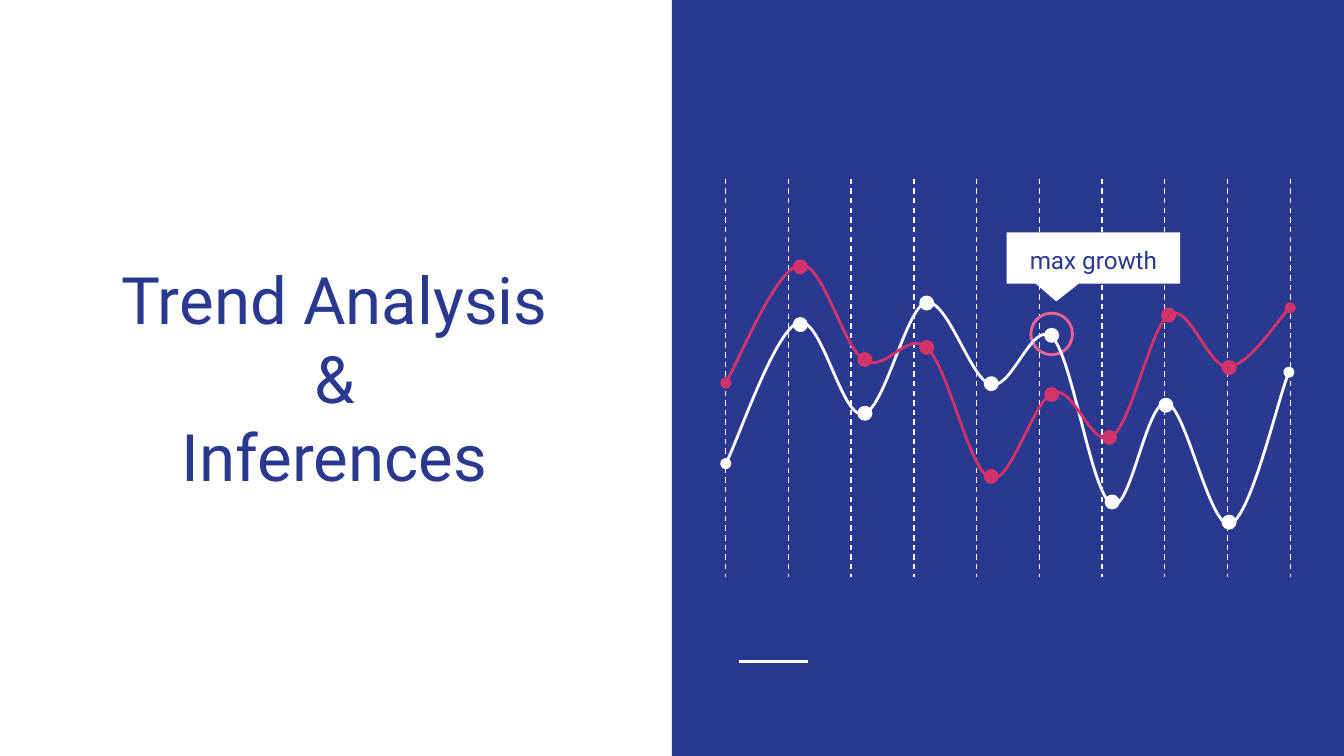
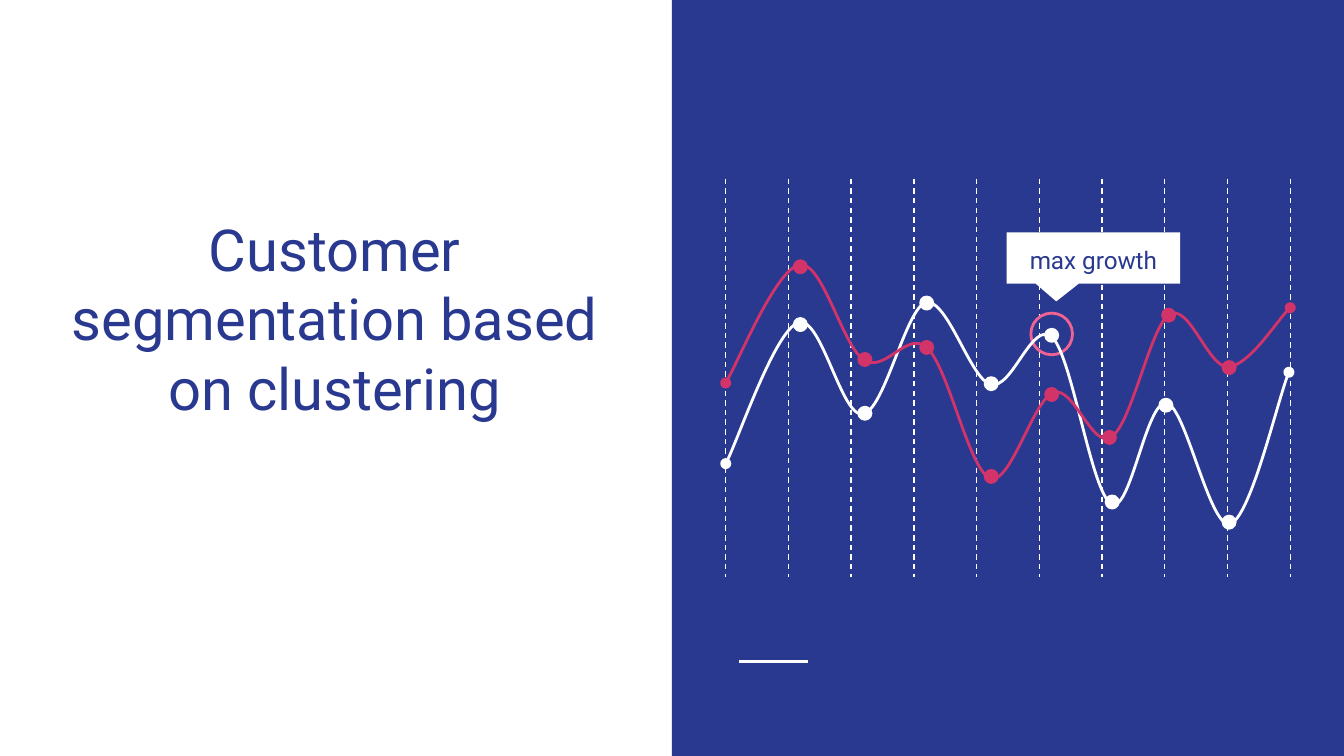
from lxml import etree
from pptx import Presentation
from pptx.dml.color import RGBColor
from pptx.enum.dml import MSO_LINE
from pptx.enum.shapes import MSO_CONNECTOR, MSO_SHAPE
from pptx.enum.text import MSO_ANCHOR, MSO_AUTO_SIZE, PP_ALIGN
from pptx.oxml.ns import qn
from pptx.util import Inches, Pt

WHITE = RGBColor(0xFF, 0xFF, 0xFF)
NAVY = RGBColor(0x2A, 0x39, 0x90)
CRIMSON = RGBColor(0xD2, 0x33, 0x69)
PINK = RGBColor(0xF0, 0x62, 0x92)
FONT = "Roboto"

RECT, OVAL = MSO_SHAPE.RECTANGLE, MSO_SHAPE.OVAL
CALLOUT = MSO_SHAPE.ROUNDED_RECTANGULAR_CALLOUT
STRAIGHT = MSO_CONNECTOR.STRAIGHT
DASH = MSO_LINE.DASH
CENTER = PP_ALIGN.CENTER
BOTTOM, MIDDLE = MSO_ANCHOR.BOTTOM, MSO_ANCHOR.MIDDLE
NO_AUTOFIT = MSO_AUTO_SIZE.NONE

SLIDE_W = 10
SLIDE_H = SLIDE_W * 9 / 16
GRID_LEFT, GRID_RIGHT, GRID_TOP, GRID_BOTTOM = 5.4, 9.6, 1.33, 4.29
GRID_LINES = 10
DOT = 0.09

# Each curve is a start point followed by Bezier triples (two controls, one end).
WHITE_CURVE = [
    (5.4, 3.45),
    (5.49, 3.28), (5.77, 2.46), (5.94, 2.4),
    (6.11, 2.34), (6.26, 3.11), (6.42, 3.08),
    (6.58, 3.06), (6.74, 2.29), (6.89, 2.25),
    (7.05, 2.22), (7.22, 2.82), (7.37, 2.86),
    (7.53, 2.91), (7.68, 2.37), (7.83, 2.51),
    (7.98, 2.66), (8.12, 3.67), (8.27, 3.75),
    (8.41, 3.83), (8.53, 2.97), (8.68, 3),
    (8.82, 3.02), (9, 3.93), (9.15, 3.9),
    (9.3, 3.86), (9.51, 2.96), (9.59, 2.77),
]
CRIMSON_CURVE = [
    (5.4, 2.85),
    (5.49, 2.7), (5.78, 2), (5.95, 1.97),
    (6.12, 1.94), (6.27, 2.58), (6.43, 2.68),
    (6.59, 2.78), (6.75, 2.45), (6.9, 2.59),
    (7.06, 2.74), (7.21, 3.5), (7.37, 3.56),
    (7.52, 3.61), (7.69, 2.97), (7.84, 2.92),
    (7.99, 2.87), (8.13, 3.35), (8.27, 3.25),
    (8.42, 3.16), (8.56, 2.43), (8.7, 2.34),
    (8.85, 2.25), (8.99, 2.74), (9.14, 2.73),
    (9.29, 2.72), (9.52, 2.36), (9.6, 2.29),
]
# Top-left corners of the data dots.
WHITE_DOTS = [(5.91, 2.37), (6.39, 3.03), (6.85, 2.21), (7.33, 2.81),
              (7.78, 2.45), (8.23, 3.69), (8.63, 2.97), (9.1, 3.84)]
CRIMSON_DOTS = [(5.91, 1.94), (6.39, 2.63), (6.85, 2.54), (7.33, 3.5),
                (7.78, 2.89), (8.21, 3.21), (8.65, 2.3), (9.1, 2.69)]


def add_box(shapes, kind, left, top, width, height, fill=None, line=None):
    sp = shapes.add_shape(kind, Inches(left), Inches(top),
                          Inches(width), Inches(height))
    sp.shadow.inherit = False
    if fill is None:
        sp.fill.background()
    else:
        sp.fill.solid()
        sp.fill.fore_color.rgb = fill
    if line is None:
        sp.line.fill.background()
    else:
        sp.line.color.rgb = line
        sp.line.width = Pt(1.5)
    return sp


def add_line(shapes, x1, y1, x2, y2, width, dash=None):
    line = shapes.add_connector(STRAIGHT, Inches(x1), Inches(y1),
                                Inches(x2), Inches(y2))
    line.line.color.rgb = WHITE
    line.line.width = Pt(width)
    if dash is not None:
        line.line.dash_style = dash
    etree.SubElement(line.element.spPr, qn("a:effectLst"))


def add_curve(shapes, points, color):
    """Draw a Bezier curve with an oval at each end."""
    start, *rest = [(Inches(x), Inches(y)) for x, y in points]
    builder = shapes.build_freeform(*start)
    builder.add_line_segments(rest, close=False)
    sp = builder.convert_to_shape()
    sp.shadow.inherit = False
    sp.fill.background()
    sp.line.color.rgb = color
    sp.line.width = Pt(1.5)

    path = next(sp.element.iter(qn("a:path")))
    segments = path.findall(qn("a:lnTo"))
    for i in range(0, len(segments), 3):
        bezier = etree.SubElement(path, qn("a:cubicBezTo"))
        for segment in segments[i:i + 3]:
            bezier.append(segment[0])
            path.remove(segment)
    ln = sp.element.spPr.get_or_add_ln()
    for end in ("a:headEnd", "a:tailEnd"):
        etree.SubElement(ln, qn(end)).set("type", "oval")


def fill_placeholder(ph, text, left, top, width, height, size, anchor,
                     spacing=1.0):
    ph.left, ph.top = Inches(left), Inches(top)
    ph.width, ph.height = Inches(width), Inches(height)
    tf = ph.text_frame
    tf.text = text
    tf.word_wrap = True
    tf.auto_size = NO_AUTOFIT
    tf.vertical_anchor = anchor
    tf.margin_left = tf.margin_right = Inches(0.1)
    tf.margin_top = tf.margin_bottom = Inches(0.1)
    for p in tf.paragraphs:
        p.alignment = CENTER
        p.line_spacing = spacing
        p.space_before = Pt(0)
        pPr = p._p.get_or_add_pPr()
        pPr.set("marL", "0")
        pPr.set("indent", "0")
        etree.SubElement(pPr, qn("a:buNone"))
        for r in p.runs:
            r.font.name = FONT
            r.font.size = Pt(size)
            r.font.color.rgb = NAVY


def add_grid(s):
    shapes = s.shapes.add_group_shape().shapes
    step = (GRID_RIGHT - GRID_LEFT) / (GRID_LINES - 1)
    for i in range(GRID_LINES):
        x = GRID_LEFT + i * step
        add_line(shapes, x, GRID_TOP, x, GRID_BOTTOM, 0.75, DASH)


def add_series(s, curve, dots, color):
    shapes = s.shapes.add_group_shape().shapes
    add_curve(shapes, curve, color)
    for x, y in dots:
        add_box(shapes, OVAL, x, y, DOT, DOT, color, color)


def add_callout(s):
    sp = add_box(s.shapes, CALLOUT, 7.49, 1.73, 1.29, 0.38, WHITE)
    for i, value in enumerate((-0.214, 0.85, 0)):
        sp.adjustments[i] = value


def add_trend_slide(prs, title, top, height, size):
    s = prs.slides.add_slide(prs.slide_layouts[1])
    add_box(s.shapes, RECT, SLIDE_W / 2, 0, SLIDE_W / 2, SLIDE_H, NAVY)
    add_line(s.shapes, 5.5, 4.92, 6.01, 4.92, 1.5)
    add_grid(s)
    add_box(s.shapes, OVAL, 7.67, 2.33, 0.31, 0.31, line=PINK)
    fill_placeholder(s.shapes.title, title, 0.28, top, 4.42, height, size,
                     BOTTOM)
    add_series(s, WHITE_CURVE, WHITE_DOTS, WHITE)
    add_callout(s)
    add_series(s, CRIMSON_CURVE, CRIMSON_DOTS, CRIMSON)
    label = s.placeholders[1]
    fill_placeholder(label, "max growth", 7.49, 1.76, 1.29, 0.31, 13, MIDDLE,
                     spacing=1.15)
    s.shapes.element.append(label.element)  # bring in front of the callout


def main():
    prs = Presentation()
    prs.slide_width, prs.slide_height = Inches(SLIDE_W), Inches(SLIDE_H)
    add_trend_slide(prs, "Trend Analysis\n&\nInferences", 2.07, 1.71, 35)
    add_trend_slide(prs, "Customer segmentation based on clustering",
                    1.9, 1.34, 31)
    prs.save("out.pptx")


if __name__ == "__main__":
    main()
